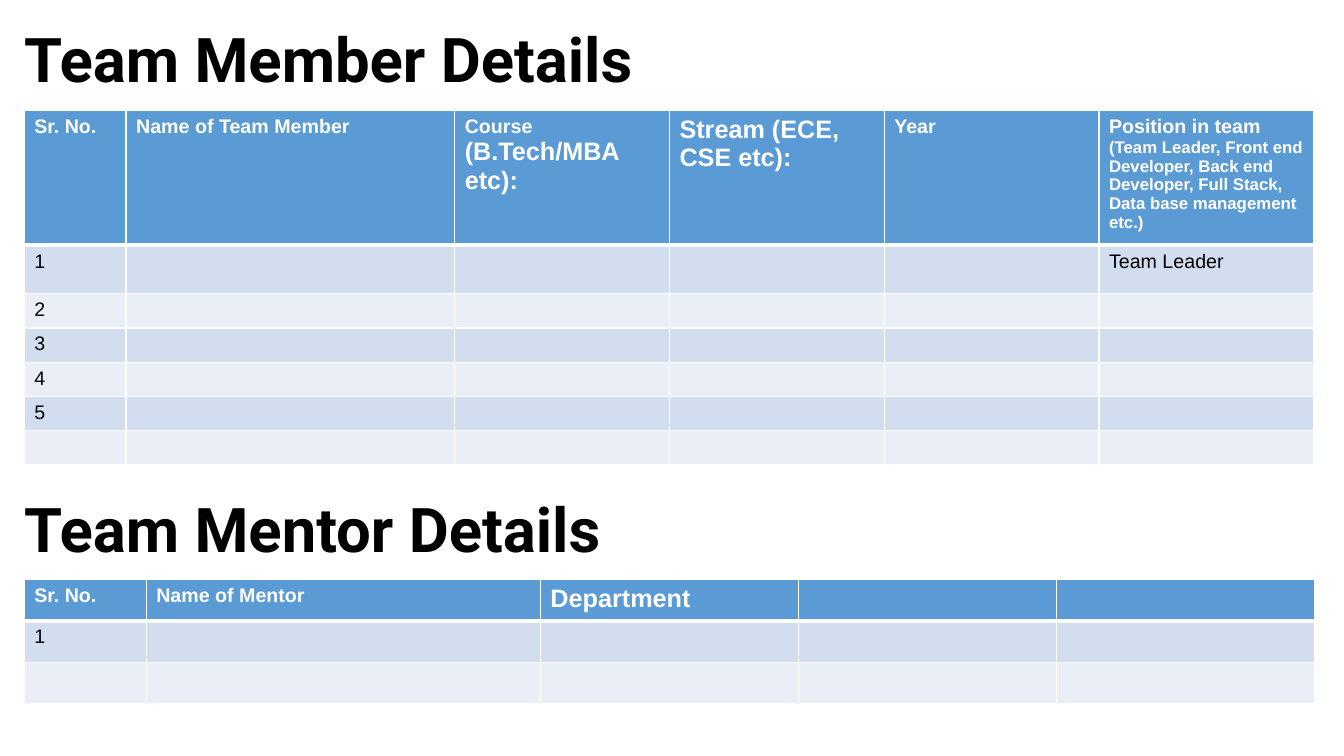
from lxml.etree import SubElement
from pptx import Presentation
from pptx.dml.color import RGBColor
from pptx.enum.text import MSO_ANCHOR
from pptx.oxml.ns import qn
from pptx.util import Pt

PX = 9144  # 100 px to the inch
BLACK = RGBColor(0x00, 0x00, 0x00)
WHITE = RGBColor(0xFF, 0xFF, 0xFF)
HEADER_BLUE = RGBColor(0x5B, 0x9B, 0xD5)
BANDS = (RGBColor(0xD2, 0xDE, 0xEF), RGBColor(0xEA, 0xEF, 0xF7))

LEFT = 24
MEMBER_HEADER = [
    [("Sr. No.", 14)],
    [("Name of Team Member", 14)],
    [("Course ", 14), ("(B.Tech/MBA etc):", 18)],
    [("Stream (ECE, CSE etc):", 18)],
    [("Year", 14)],
    [("Position in team ", 14),
     ("(Team Leader, Front end Developer, Back end Developer, "
      "Full Stack, Data base management etc.)", 12)],
]
MENTOR_HEADER = [
    [("Sr. No.", 14)],
    [("Name of Mentor", 14)],
    [("Department", 18)],
    [],
    [],
]


class DetailsSlide:
    heading_font = "Roboto"
    heading_size = 44
    body_font = "Arial"
    body_size = 14

    def __init__(self, slide):
        self.slide = slide

    def heading(self, text, top):
        box = self.slide.shapes.add_textbox(LEFT * PX, top * PX, 724 * PX, 67 * PX)
        frame = box.text_frame
        frame.word_wrap = True
        frame.vertical_anchor = MSO_ANCHOR.BOTTOM
        frame.margin_left = frame.margin_right = 0
        frame.margin_top = frame.margin_bottom = 0
        frame.text = text
        paragraph = frame.paragraphs[0]
        paragraph.line_spacing = 0.9
        self.style(paragraph.runs[0].font, self.heading_font, self.heading_size, BLACK, True)

    def table(self, top, widths, heights, header, body):
        """Draw a banded table; body maps (row, column) to the text of a filled cell."""
        grid = self.slide.shapes.add_table(
            len(heights), len(widths), LEFT * PX, top * PX,
            sum(widths) * PX, sum(heights) * PX).table
        for column, width in zip(grid.columns, widths):
            column.width = width * PX
        for r, height in enumerate(heights):
            grid.rows[r].height = height * PX
            for c in range(len(widths)):
                cell = grid.cell(r, c)
                self.borders(cell, top=3 if r == 1 else 1, bottom=3 if r == 0 else 1)
                cell.fill.solid()
                if r == 0:
                    cell.fill.fore_color.rgb = HEADER_BLUE
                    self.cell_text(cell, header[c], WHITE, True)
                else:
                    cell.fill.fore_color.rgb = BANDS[(r - 1) % 2]
                    text = body.get((r, c))
                    parts = [(text, self.body_size)] if text else []
                    self.cell_text(cell, parts, BLACK, False)

    def cell_text(self, cell, parts, color, bold):
        paragraph = cell.text_frame.paragraphs[0]
        for text, size in parts:
            run = paragraph.add_run()
            run.text = text
            self.style(run.font, self.body_font, size, color, bold)
        if not parts:  # keeps an empty row as low as a filled one
            SubElement(paragraph._p, qn("a:endParaRPr"), sz=str(self.body_size * 100))

    @staticmethod
    def style(font, name, size, color, bold):
        font.name = name
        font.size = Pt(size)
        font.bold = bold
        font.color.rgb = color

    @staticmethod
    def borders(cell, top, bottom):
        properties = cell._tc.get_or_add_tcPr()
        for side, points in (("L", 1), ("R", 1), ("T", top), ("B", bottom)):
            line = SubElement(properties, qn(f"a:ln{side}"), w=str(Pt(points)))
            fill = SubElement(line, qn("a:solidFill"))
            SubElement(fill, qn("a:srgbClr"), val=str(WHITE))


def main():
    presentation = Presentation()
    presentation.slide_width = 1333 * PX
    presentation.slide_height = 750 * PX
    page = DetailsSlide(presentation.slides.add_slide(presentation.slide_layouts[6]))

    page.heading("Team Member Details", 28)
    members = {(number, 0): str(number) for number in range(1, 6)}
    members[1, 5] = "Team Leader"
    page.table(110, [101, 326] + [213] * 4, [124, 48] + [34] * 5, MEMBER_HEADER, members)

    page.table(575, [121, 391] + [256] * 3, [41] * 3, MENTOR_HEADER, {(1, 0): "1"})
    page.heading("Team Mentor Details", 494)

    presentation.save("out.pptx")


if __name__ == "__main__":
    main()
